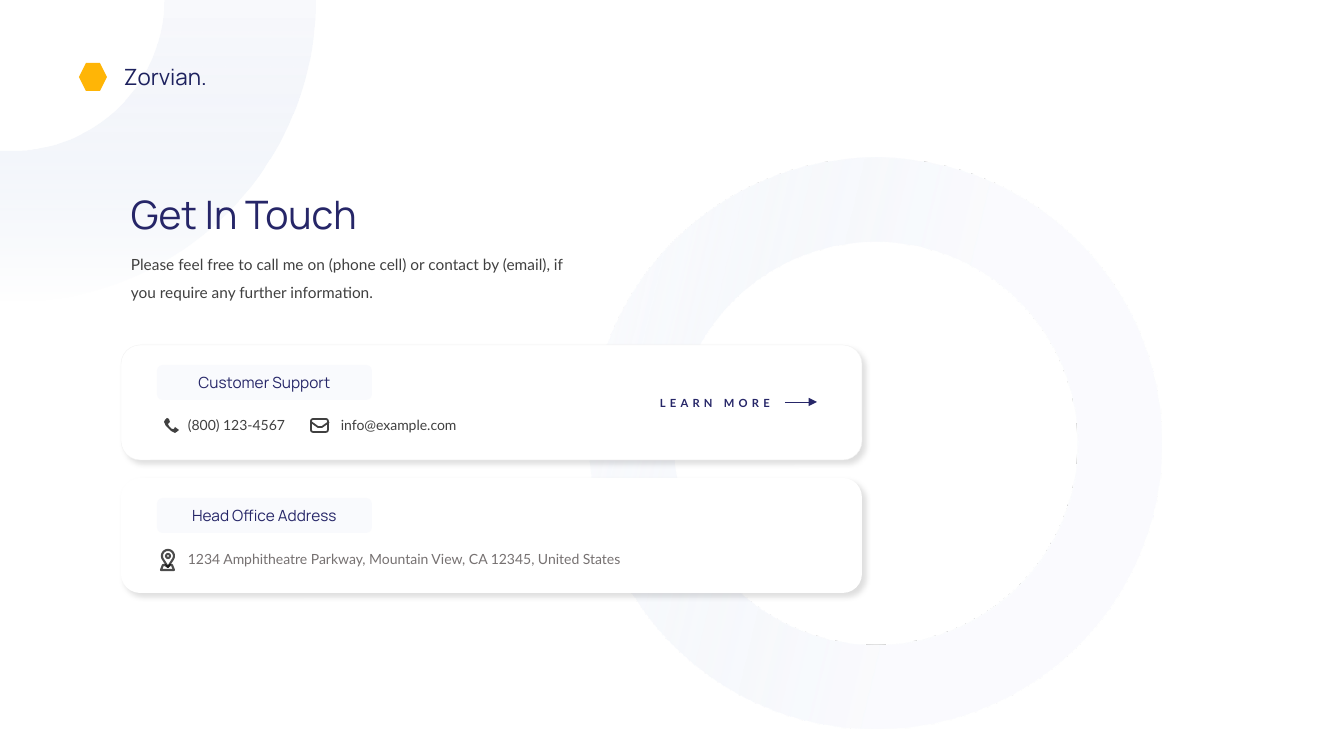
import math

import lxml.etree
import pptx
import pptx.dml.color
import pptx.enum.shapes
import pptx.enum.text
import pptx.oxml.ns
import pptx.util

EMU_PER_PX = 914400 / 100.8
NAVY, GREY, PALE, WHITE, BLACK = "262668", "404040", "F9FAFD", "FFFFFF", "000000"
CARD_LEFT, CARD_TOPS = 121, (345, 478)
PHONE = [(178, 431), (175, 433), (171, 431), (166, 426), (164, 422), (165, 420),
         (167, 418), (169, 419), (170, 422), (168, 424), (169, 426), (172, 429),
         (174, 429), (175, 427), (179, 430)]
PIN_BASE = [(163, 565), (165, 565), (168, 567), (170, 565), (172, 565), (174, 570), (161, 570)]
FLAP = [(311, 422), (318, 427), (322, 427), (329, 422)]


def px(value):
    """Turn pixels into EMU."""
    return pptx.util.Emu(round(value * EMU_PER_PX))


def color(hex_value):
    """Turn a hex string into a colour."""
    return pptx.dml.color.RGBColor.from_string(hex_value)


def add_element(parent, tag, **attributes):
    """Append a DrawingML element with the given attributes."""
    names = {name: str(value) for name, value in attributes.items()}
    return lxml.etree.SubElement(parent, pptx.oxml.ns.qn(tag), names)


def set_opacity(parent, percent):
    """Set the opacity of the colour held in a fill or gradient stop."""
    rgb = next(parent.iter(pptx.oxml.ns.qn("a:srgbClr")))
    add_element(rgb, "a:alpha", val=percent * 1000)


def style(shape, fill=None, line=None, weight=1, opacity=100):
    """Give a shape a plain fill and line and no shadow."""
    shape.shadow.inherit = False
    if fill:
        shape.fill.solid()
        shape.fill.fore_color.rgb = color(fill)
    else:
        shape.fill.background()
    if line:
        shape.line.color.rgb = color(line)
        shape.line.width = pptx.util.Pt(weight)
        if opacity < 100:
            set_opacity(shape._element.spPr.find(pptx.oxml.ns.qn("a:ln")), opacity)
    else:
        shape.line.fill.background()
    return shape


def add_preset(slide, kind, left, top, width, height, **look):
    """Add a styled preset shape."""
    preset = getattr(pptx.enum.shapes.MSO_SHAPE, kind)
    shape = slide.shapes.add_shape(preset, px(left), px(top), px(width), px(height))
    return style(shape, **look)


def add_outline(slide, points, close=True, **look):
    """Add a styled freeform through the given points."""
    start, *rest = [(px(x), px(y)) for x, y in points]
    builder = slide.shapes.build_freeform(*start)
    builder.add_line_segments(rest, close=close)
    return style(builder.convert_to_shape(), **look)


def arc(center_x, center_y, radius, start, end):
    """List points on an arc, with angles in degrees clockwise from the right."""
    angles = [math.radians(start + (end - start) * step / 48) for step in range(49)]
    return [(center_x + radius * math.cos(angle), center_y + radius * math.sin(angle))
            for angle in angles]


def fade(shape, stops):
    """Fill a shape with a vertical gradient of position, colour and opacity."""
    shape.fill.gradient()
    shape.fill.gradient_angle = 270
    elements = list(shape._element.spPr.iter(pptx.oxml.ns.qn("a:gs")))
    for stop, element, (position, hex_value, opacity) in zip(
            shape.fill.gradient_stops, elements, stops):
        stop.position = position
        stop.color.rgb = color(hex_value)
        set_opacity(element, opacity)


def add_run(paragraph, text, font, size, hex_value, bold=False, spacing=0):
    """Add one formatted run to a paragraph."""
    run = paragraph.add_run()
    run.text = text
    run.font.name = font
    run.font.size = pptx.util.Pt(size)
    run.font.color.rgb = color(hex_value)
    run.font.bold = bold
    if spacing:
        run._r.get_or_add_rPr().set("spc", str(spacing * 100))


def add_text(slide, left, top, width, height, text, font, size, hex_value,
             line_spacing=None, **look):
    """Add a wrapped text box with one paragraph."""
    box = slide.shapes.add_textbox(px(left), px(top), px(width), px(height))
    frame = box.text_frame
    frame.word_wrap = True
    frame.auto_size = pptx.enum.text.MSO_AUTO_SIZE.SHAPE_TO_FIT_TEXT
    paragraph = frame.paragraphs[0]
    if line_spacing:
        paragraph.line_spacing = line_spacing
    add_run(paragraph, text, font, size, hex_value, **look)


def add_card(slide, top, label, line=None):
    """Add a shadowed card with its heading pill."""
    card = add_preset(slide, "ROUNDED_RECTANGLE", CARD_LEFT, top, 741, 115,
                      fill=WHITE, line=line, weight=0.27)
    effects = card._element.spPr.find(pptx.oxml.ns.qn("a:effectLst"))
    shadow = add_element(effects, "a:outerShdw", blurRad=int(pptx.util.Pt(4)),
                         dist=int(pptx.util.Pt(3)), dir=45 * 60000, algn="tl", rotWithShape=0)
    add_element(shadow, "a:srgbClr", val=BLACK)
    set_opacity(shadow, 12)
    pill = add_preset(slide, "ROUNDED_RECTANGLE", CARD_LEFT + 36, top + 20, 215, 35, fill=PALE)
    pill.text_frame.vertical_anchor = pptx.enum.text.MSO_ANCHOR.MIDDLE
    paragraph = pill.text_frame.paragraphs[0]
    paragraph.alignment = pptx.enum.text.PP_ALIGN.CENTER
    add_run(paragraph, label, "Manrope", 11, NAVY)


def add_arrow(slide, left, right, y):
    """Add a thin horizontal arrow."""
    arrow = slide.shapes.add_connector(
        pptx.enum.shapes.MSO_CONNECTOR.STRAIGHT, px(left), px(y), px(right), px(y))
    arrow.line.color.rgb = color(NAVY)
    arrow.line.width = pptx.util.Pt(0.5)
    properties = arrow._element.spPr
    add_element(properties.find(pptx.oxml.ns.qn("a:ln")), "a:tailEnd", type="triangle")
    add_element(properties, "a:effectLst")


def add_background(slide):
    """Add the pale ring and the corner band."""
    ring = add_preset(slide, "DONUT", 590, 158, 571, 571)
    ring.adjustments[0] = 0.148
    ring.rotation = 103.3
    fade(ring, [(0.41, PALE, 72), (1, "DAE3F3", 0)])
    band = add_outline(slide, arc(13, 0, 302, 0, 90) + [(0, 302), (0, 151)]
                       + arc(13, 0, 151, 90, 0))
    fade(band, [(0, PALE, 100), (1, "DAE3F3", 0)])


def add_icons(slide):
    """Add the phone, envelope and map pin icons."""
    add_outline(slide, PHONE, fill=GREY)
    add_preset(slide, "ROUNDED_RECTANGLE", 311, 419, 17, 13, line=GREY, weight=1.25)
    add_outline(slide, FLAP, close=False, line=GREY, weight=1.25)
    ink = {"line": BLACK, "weight": 1.5, "opacity": 70}
    add_outline(slide, arc(168, 556, 6, 150, 390) + [(168, 567)], **ink)
    add_preset(slide, "OVAL", 166, 554, 4, 4, **ink)
    add_outline(slide, PIN_BASE, **ink)


def main():
    """Build and save the contact slide."""
    presentation = pptx.Presentation()
    presentation.slide_width, presentation.slide_height = px(1344), px(756)
    slide = presentation.slides.add_slide(presentation.slide_layouts[6])
    add_background(slide)
    add_preset(slide, "HEXAGON", 79, 63, 28, 28, fill="FFB506")
    add_text(slide, 114, 58, 130, 37, "Zorvian.", "Manrope", 16, "1D215E")
    add_text(slide, 121, 185, 328, 57, "Get In Touch", "Manrope", 28, NAVY)
    add_text(slide, 121, 241, 466, 62,
             "Please feel free to call me on (phone cell) or contact by (email), "
             "if you require any further information.", "Lato", 11, GREY, line_spacing=1.5)
    add_card(slide, CARD_TOPS[1], "Head Office Address")
    add_card(slide, CARD_TOPS[0], "Customer Support", line="F2F2F2")
    add_text(slide, 178, 412, 145, 27, "(800) 123-4567", "Lato", 10, GREY)
    add_text(slide, 331, 412, 145, 27, "info@example.com", "Lato", 10, GREY)
    add_text(slide, 178, 546, 518, 27,
             "1234 Amphitheatre Parkway, Mountain View, CA 12345, United States",
             "Lato", 10, "767171")
    add_icons(slide)
    add_text(slide, 650, 391, 151, 24, "LEARN MORE", "Lato", 8, NAVY, bold=True, spacing=3)
    add_arrow(slide, 785, 817, 402)
    presentation.save("out.pptx")


if __name__ == "__main__":
    main()
